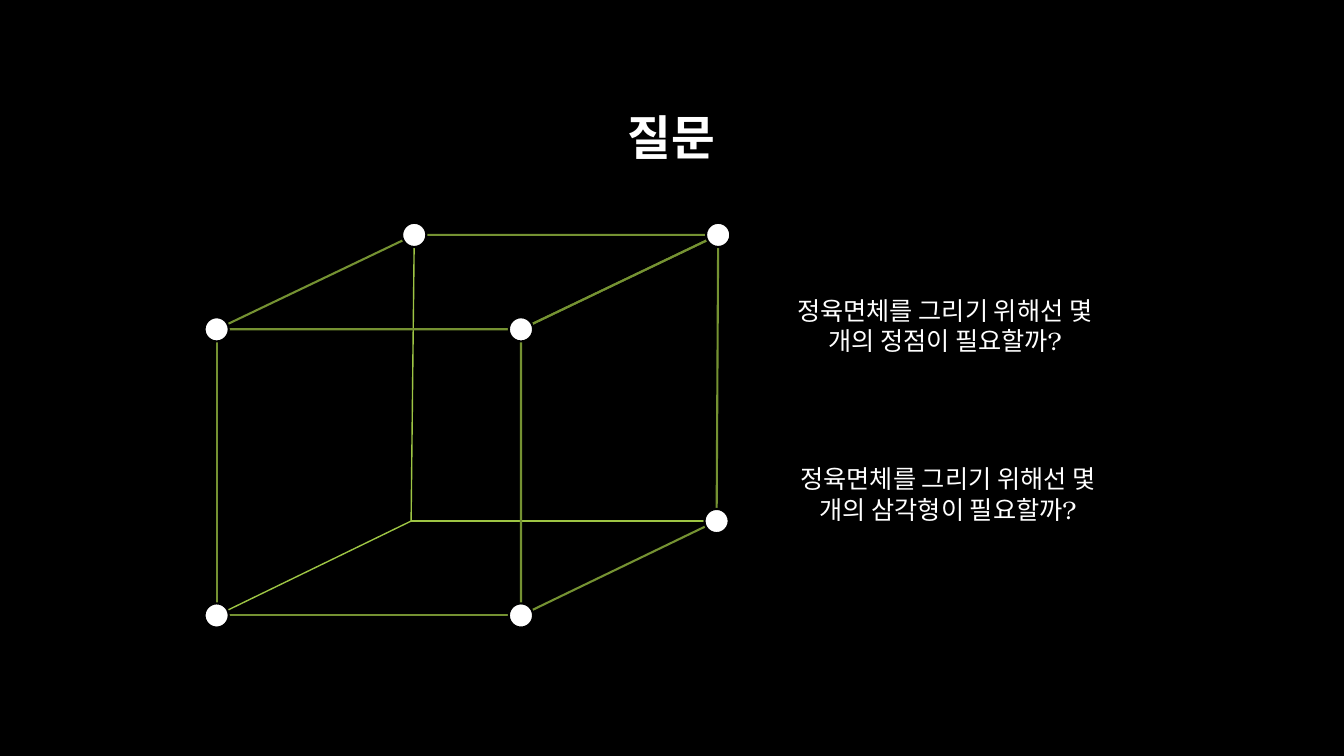
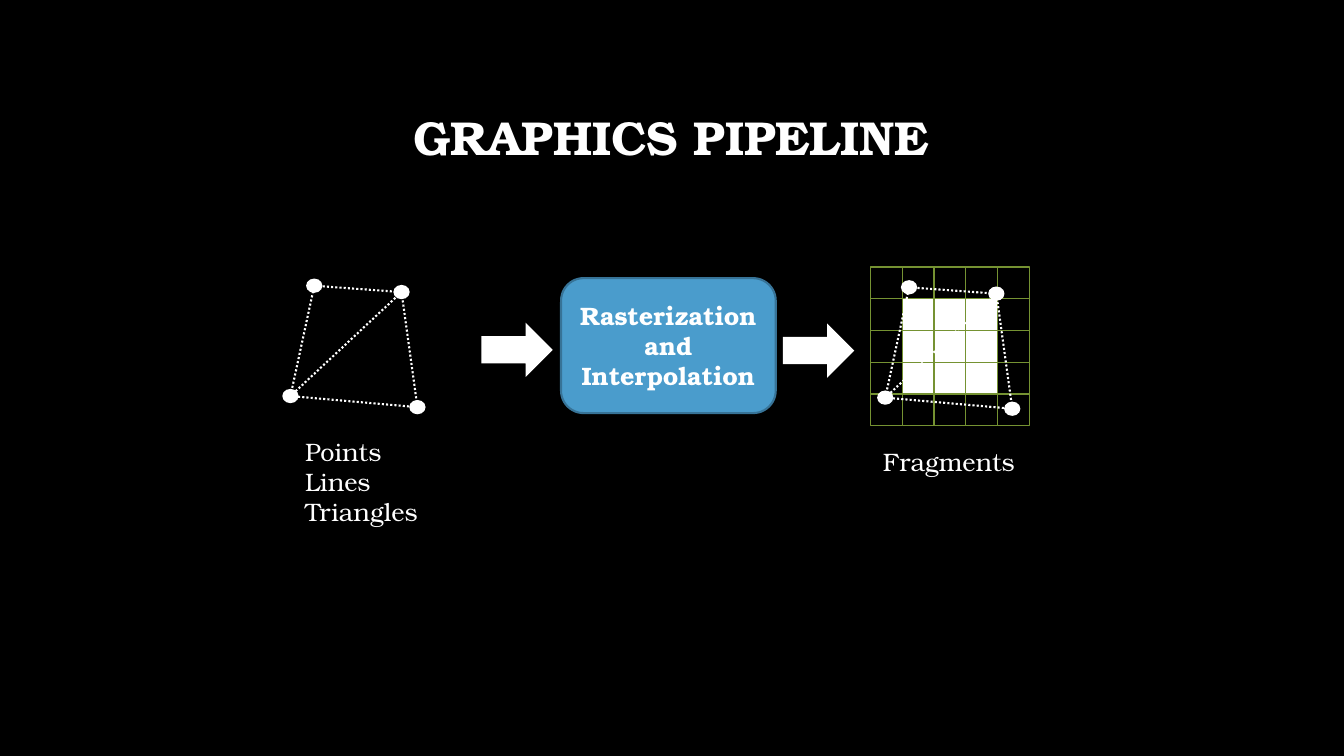
"""Build two dark slides: a cube question and a graphics pipeline diagram."""
import pptx
import pptx.dml.color
import pptx.enum.dml
import pptx.enum.shapes
import pptx.enum.text
import pptx.oxml
import pptx.util

Cm, Pt = pptx.util.Cm, pptx.util.Pt
SHAPE = pptx.enum.shapes.MSO_SHAPE
ALIGN = pptx.enum.text.PP_ALIGN
ANCHOR = pptx.enum.text.MSO_ANCHOR
DOTTED = pptx.enum.dml.MSO_LINE.ROUND_DOT

FONT = "TeX Gyre Bonum"
BLACK, WHITE = "000000", "FFFFFF"
GREEN, LIME = "759232", "9EC544"
BLUE, DARK_BLUE = "4A9CCC", "377397"
TITLE_BOX = (2.54, 1.7, 28.75, 3.68)

CUBE = {
    "front top left": (5.46, 8.3),
    "front top right": (13.13, 8.3),
    "front bottom left": (5.46, 15.51),
    "front bottom right": (13.13, 15.51),
    "back top left": (10.44, 5.92),
    "back top right": (18.1, 5.92),
    "back bottom left": (10.36, 13.13),
    "back bottom right": (18.06, 13.13),
}
HIDDEN_CORNER = "back bottom left"
HIDDEN_ENDS = ("back top left", "front bottom left", "back bottom right")
TOP_FACE = ("back top left", "back top right", "front top right", "front top left")
SIDE_FACE = ("front top right", "back top right", "back bottom right", "front bottom right")
VERTEX_SIZE = 0.61

QUESTIONS = [
    ("정육면체를 그리기 위해선 몇 개의 정점이 필요할까?", (19.71, 7.32, 8.2, 1.8)),
    ("정육면체를 그리기 위해선 몇 개의 삼각형이 필요할까?", (19.79, 11.56, 8.2, 1.8)),
]

QUAD = [(7.92, 7.2), (10.12, 7.36), (10.52, 10.26), (7.32, 9.98)]
QUAD_EDGES = [(0, 1), (1, 2), (2, 3), (3, 0), (1, 3)]
FRAGMENT_SHIFT = (14.99, 0.04)
POINT_SIZE = (0.41, 0.36)
ARROWS = [(12.13, 8.13, 1.8, 1.37), (19.73, 8.15, 1.8, 1.37)]
STAGE = ("Rasterization and Interpolation", (14.14, 7.01, 5.41, 3.4))
LABELS = [
    ("Points\nLines\nTriangles", (7.44, 10.87, 3.86, 2.57)),
    ("Fragments", (22, 11.13, 3.86, 1.02)),
]
GRID_LEFT, GRID_TOP, CELL = 21.94, 6.73, 0.8
GRID = [
    "00000",
    "01110",
    "01110",
    "01110",
    "00000",
]


def color(value):
    return pptx.dml.color.RGBColor.from_string(value)


def write(tf, text, size=18, bold=False, align=ALIGN.LEFT, anchor=ANCHOR.TOP, spacing=None):
    tf.word_wrap = True
    tf.vertical_anchor = anchor
    for i, line in enumerate(text.split("\n")):
        p = tf.add_paragraph() if i else tf.paragraphs[0]
        p.alignment, p.line_spacing = align, spacing
        r = p.add_run()
        r.text = line
        r.font.name, r.font.size, r.font.bold = FONT, Pt(size), bold
        r.font.color.rgb = color(WHITE)


def add_text(s, text, box, **style):
    write(s.shapes.add_textbox(*map(Cm, box)).text_frame, text, **style)


def paint(sp, fill=None, line=None, width=1.5):
    sp.shadow.inherit = False
    if fill:
        sp.fill.solid()
        sp.fill.fore_color.rgb = color(fill)
    else:
        sp.fill.background()
    if line:
        sp.line.color.rgb = color(line)
        sp.line.width = Pt(width)
    else:
        sp.line.fill.background()


def add_shape(s, kind, box, **style):
    sp = s.shapes.add_shape(kind, *map(Cm, box))
    paint(sp, **style)
    return sp


def add_dot(s, kind, center, width, height, **style):
    x, y = center
    add_shape(s, kind, (x - width / 2, y - height / 2, width, height), fill=WHITE, **style)


def add_line(s, start, end, line, width, dash=None):
    straight = pptx.enum.shapes.MSO_CONNECTOR.STRAIGHT
    c = s.shapes.add_connector(straight, *map(Cm, start + end))
    c.line.color.rgb = color(line)
    c.line.width = Pt(width)
    if dash:
        c.line.dash_style = dash
    c.element.spPr.append(pptx.oxml.parse_xml(
        '<a:effectLst xmlns:a="http://schemas.openxmlformats.org/drawingml/2006/main"/>'))


def add_face(s, corners):
    points = [tuple(map(Cm, CUBE[name])) for name in corners]
    builder = s.shapes.build_freeform(*points[0])
    builder.add_line_segments(points[1:], close=True)
    paint(builder.convert_to_shape(), line=GREEN)


def add_slide(prs, title):
    s = prs.slides.add_slide(prs.slide_layouts[6])
    s.background.fill.solid()
    s.background.fill.fore_color.rgb = color(BLACK)
    add_text(s, title, TITLE_BOX, size=34, bold=True, align=ALIGN.CENTER,
             anchor=ANCHOR.MIDDLE, spacing=0.9)
    return s


def add_cube(s):
    for name in HIDDEN_ENDS:
        add_line(s, CUBE[HIDDEN_CORNER], CUBE[name], LIME, 1)
    left, top = CUBE["front top left"]
    right, bottom = CUBE["front bottom right"]
    add_shape(s, SHAPE.RECTANGLE, (left, top, right - left, bottom - top), line=GREEN)
    for face in (TOP_FACE, SIDE_FACE):
        add_face(s, face)
    for name, center in CUBE.items():
        if name != HIDDEN_CORNER:
            add_dot(s, SHAPE.OVAL, center, VERTEX_SIZE, VERTEX_SIZE, line=BLACK)


def add_quad(s, shift=(0, 0)):
    points = [(x + shift[0], y + shift[1]) for x, y in QUAD]
    for a, b in QUAD_EDGES:
        add_line(s, points[a], points[b], WHITE, 1.5, DOTTED)
    for center in points:
        add_dot(s, SHAPE.FLOWCHART_CONNECTOR, center, *POINT_SIZE)


def add_grid(s):
    for row, cells in enumerate(GRID):
        for col, covered in enumerate(cells):
            box = (GRID_LEFT + col * CELL, GRID_TOP + row * CELL, CELL, CELL)
            fill = WHITE if covered == "1" else BLACK
            add_shape(s, SHAPE.RECTANGLE, box, fill=fill, line=GREEN, width=1)


def question_slide(prs):
    s = add_slide(prs, "질문")
    add_cube(s)
    for text, box in QUESTIONS:
        add_text(s, text, box, align=ALIGN.CENTER)


def pipeline_slide(prs):
    s = add_slide(prs, "GRAPHICS PIPELINE")
    for box in ARROWS:
        add_shape(s, SHAPE.RIGHT_ARROW, box, fill=WHITE)
    add_quad(s)
    text, box = STAGE
    sp = add_shape(s, SHAPE.ROUNDED_RECTANGLE, box, fill=BLUE, line=DARK_BLUE)
    write(sp.text_frame, text, bold=True, align=ALIGN.CENTER, anchor=ANCHOR.MIDDLE)
    add_grid(s)
    add_quad(s, FRAGMENT_SHIFT)
    for text, box in LABELS:
        add_text(s, text, box)


def main():
    prs = pptx.Presentation()
    prs.slide_width, prs.slide_height = Cm(33.87), Cm(19.05)
    question_slide(prs)
    pipeline_slide(prs)
    prs.save("out.pptx")


if __name__ == "__main__":
    main()
